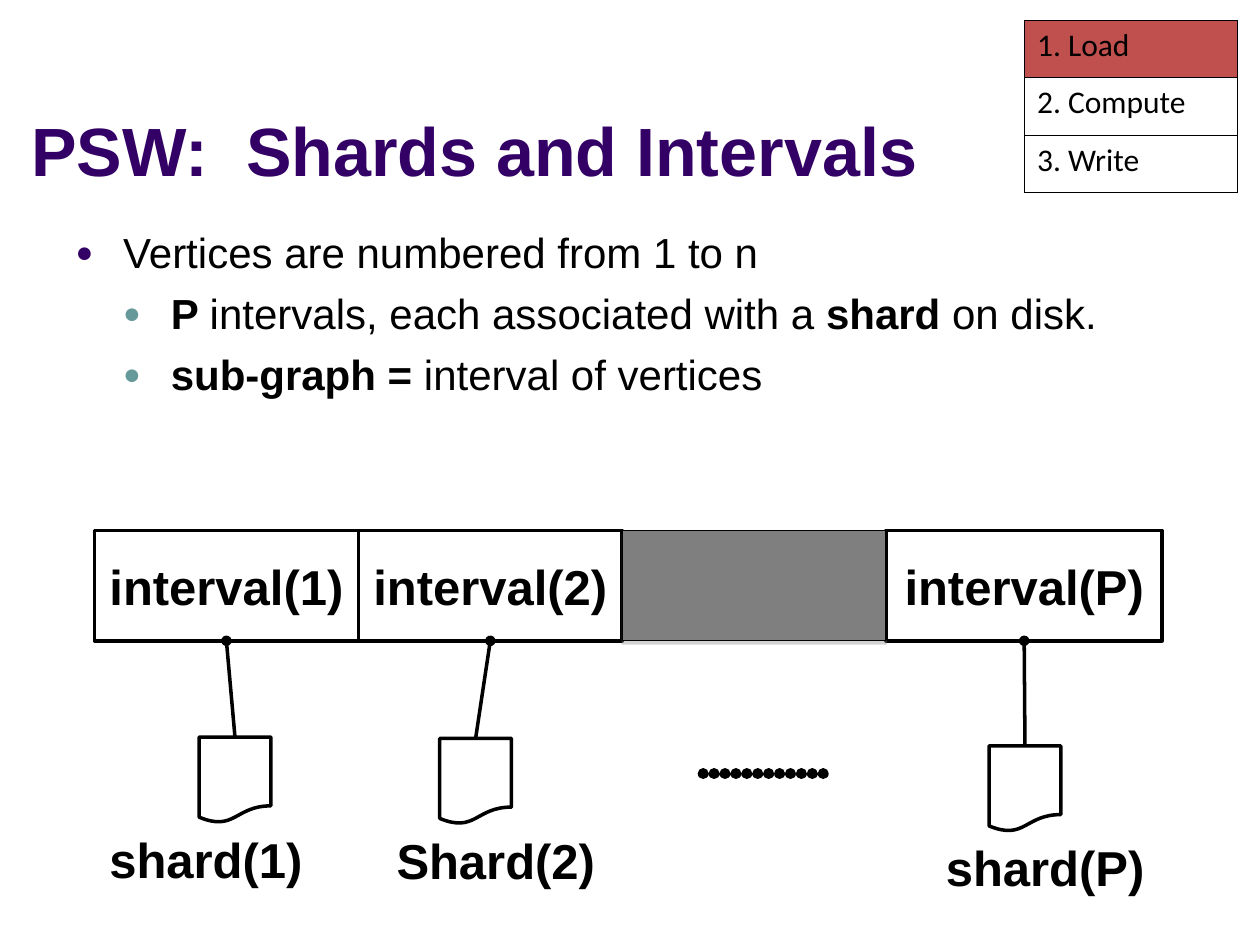
"""Builds the slide on shards and intervals."""
from lxml import etree
from pptx import Presentation
from pptx.dml.color import RGBColor
from pptx.enum import shapes as sh, text as tx
from pptx.oxml.ns import qn
from pptx.util import Pt

THEME = dict(font="Arial", step="Calibri", ink="000000", paper="FFFFFF", title="330066",
             sub="669999", hot="C0504D", gap="7F7F7F", shade="808080",
             big=39, body=24, label=28, small=18)
TITLE = "PSW:  Shards and Intervals"
POINTS = [
    (0, [("Vertices are numbered from 1 to n", False)]),
    (1, [("P ", True), ("intervals, each associated with a ", False),
         ("shard ", True), ("on disk.", False)]),
    (1, [("sub-graph = ", True), ("interval of vertices", False)]),
]
STEPS = ["1. Load", "2. Compute", "3. Write"]
CELLS = ["interval(1)", "interval(2)", None, "interval(P)"]
SHARDS = [
    dict(name="shard(1)", cell=0, mid=134.3, top=421.2, text=117.7),
    dict(name="Shard(2)", cell=1, mid=271.8, top=421.9, text=283.3),
    dict(name="shard(P)", cell=3, mid=585.7, top=426.2, text=597.2),
]
BAR = dict(left=54, top=303.2, wide=150.8, last=157.7, high=63)
PAGE = dict(wide=41, high=49, text=133)
DOTS = (401.8, 442.1, 472.3, 442.1)


def rgb(key):
    return RGBColor.from_string(THEME[key])


def pts(*nums):
    return [Pt(n) for n in nums]


def add(node, tag, **attrs):
    return etree.SubElement(node, qn(tag), attrs)


def tint(node, key):
    return add(node, "a:srgbClr", val=THEME[key])


def style(font, size, key="ink", bold=False, face="font"):
    font.name, font.size, font.bold = THEME[face], Pt(THEME[size]), bold
    font.color.rgb = rgb(key)


def place(item, left, top, wide, high):
    item.left, item.top, item.width, item.height = pts(left, top, wide, high)


def label(frame, words):
    frame.word_wrap = True
    para = frame.paragraphs[0]
    para.text, para.alignment = words, tx.PP_ALIGN.CENTER
    style(para.font, "label", bold=True)


def block(home, kind, box, fill="paper", width=2):
    item = home.add_shape(kind, *pts(*box))
    item.shadow.inherit = False
    item.fill.solid()
    item.fill.fore_color.rgb = rgb(fill)
    item.line.color.rgb, item.line.width = rgb("ink"), Pt(width)
    return item


def link(home, ends, width=2):
    item = home.add_connector(sh.MSO_CONNECTOR.STRAIGHT, *pts(*ends))
    item.line.color.rgb, item.line.width = rgb("ink"), Pt(width)
    add(item._element.spPr, "a:effectLst")
    return item.line._get_or_add_ln()


def heads(slide):
    title, body = slide.placeholders
    place(title, 10.8, 22.3, 648, 90)
    title.text_frame.text = TITLE
    title.text_frame.vertical_anchor = tx.MSO_ANCHOR.BOTTOM
    title.text_frame.auto_size = tx.MSO_AUTO_SIZE.NONE
    para = title.text_frame.paragraphs[0]
    para.alignment = tx.PP_ALIGN.LEFT
    style(para.font, "big", "title", True)

    place(body, 36, 126, 648, 356.4)
    frame = body.text_frame
    frame.auto_size = tx.MSO_AUTO_SIZE.NONE
    for i, (level, runs) in enumerate(POINTS):
        para = frame.add_paragraph() if i else frame.paragraphs[0]
        para.level, para.space_before = level, Pt(6 if i else 0)
        props = para._p.get_or_add_pPr()
        props.set("marL", str(Pt(27.2 * (level + 1))))
        props.set("indent", str(Pt(-27.2)))
        tint(add(props, "a:buClr"), "sub" if level else "title")
        add(props, "a:buSzPct", val="70000")
        add(props, "a:buFont", typeface=THEME["font"])
        add(props, "a:buChar", char="●")
        style(para.font, "body")
        for words, bold in runs:
            run = para.add_run()
            run.text, run.font.bold = words, bold


def steps(home):
    grid = home.add_table(len(STEPS), 1, *pts(585.4, 11.5, 121.7, 98.6)).table
    grid.first_row = grid.horz_banding = False
    for i, words in enumerate(STEPS):
        cell = grid.cell(i, 0)
        cell.text = words
        style(cell.text_frame.paragraphs[0].font, "small", face="step")
        props = cell._tc.get_or_add_tcPr()
        for side in "LRTB":
            edge = add(props, "a:ln" + side, w=str(Pt(0.45)))
            tint(add(edge, "a:solidFill"), "ink")
        if i:
            cell.fill.background()
        else:
            cell.fill.solid()
            cell.fill.fore_color.rgb = rgb("hot")


def bar(home):
    mids = []
    for i, words in enumerate(CELLS):
        left = BAR["left"] + i * BAR["wide"]
        wide = BAR["last"] if i == len(CELLS) - 1 else BAR["wide"]
        box = left, BAR["top"], wide, BAR["high"]
        mids.append(left + wide / 2)
        if words:
            label(block(home, sh.MSO_SHAPE.RECTANGLE, box).text_frame, words)
        else:
            hole = box
    item = block(home, sh.MSO_SHAPE.RECTANGLE, hole, "gap", 0.75)
    cast = add(item._element.spPr.find(qn("a:effectLst")), "a:outerShdw",
               blurRad="0", dist=str(Pt(1.8)), dir="5400000", rotWithShape="0")
    add(tint(cast, "shade"), "a:alpha", val="35000")
    return mids


def shards(home, mids):
    for s in SHARDS:
        group = home.add_group_shape().shapes
        wide, high = PAGE["wide"], PAGE["high"]
        block(group, sh.MSO_SHAPE.FLOWCHART_DOCUMENT,
              (s["mid"] - wide / 2, s["top"], wide, high))
        box = group.add_textbox(*pts(s["text"] - PAGE["text"] / 2, s["top"] + high,
                                     PAGE["text"], 41))
        label(box.text_frame, s["name"])
        line = link(home, (mids[s["cell"]], BAR["top"] + BAR["high"], s["mid"], s["top"]))
        add(line, "a:headEnd", type="oval")
    line = link(home, DOTS, 6.25)
    line.set("cap", "rnd")
    add(add(line, "a:custDash"), "a:ds", d="1000", sp="99000")


def main():
    deck = Presentation()
    deck.slide_width, deck.slide_height = pts(720, 540)
    slide = deck.slides.add_slide(deck.slide_layouts[1])
    heads(slide)
    shards(slide.shapes, bar(slide.shapes))
    steps(slide.shapes)
    deck.save("out.pptx")


if __name__ == "__main__":
    main()
